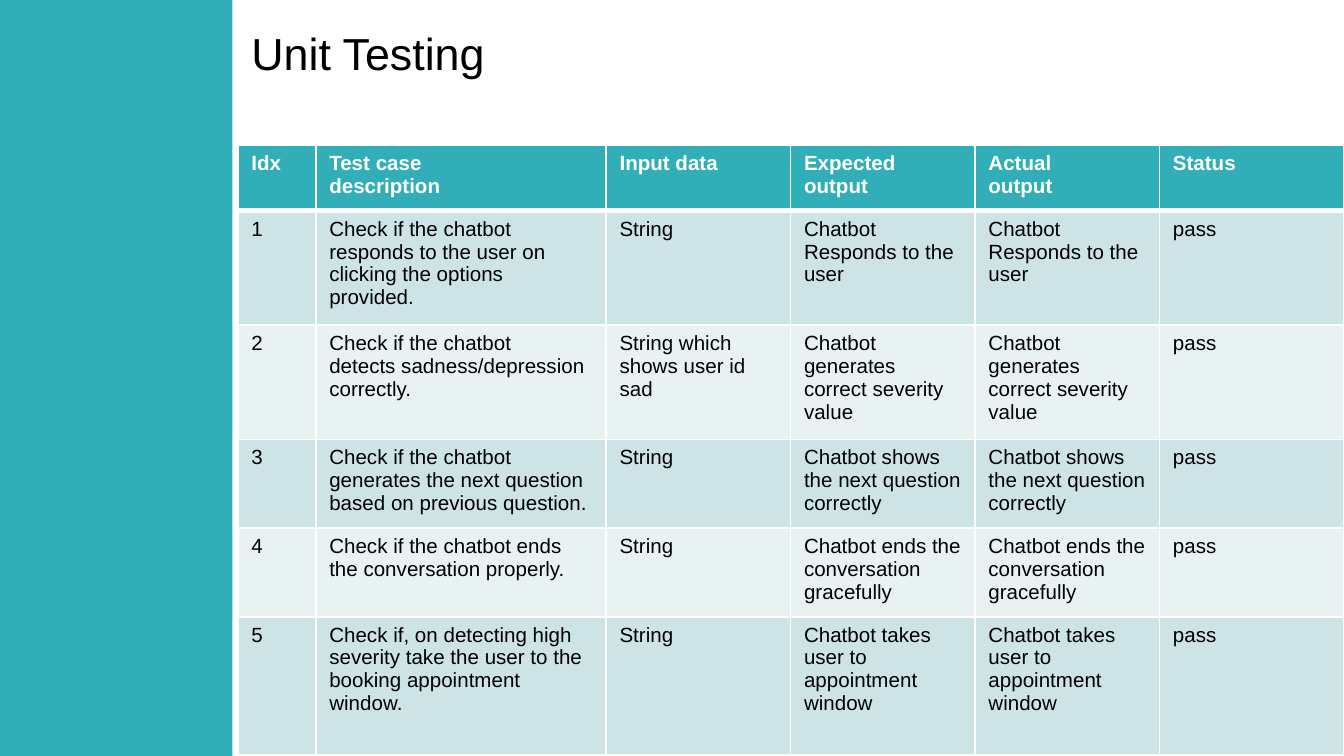
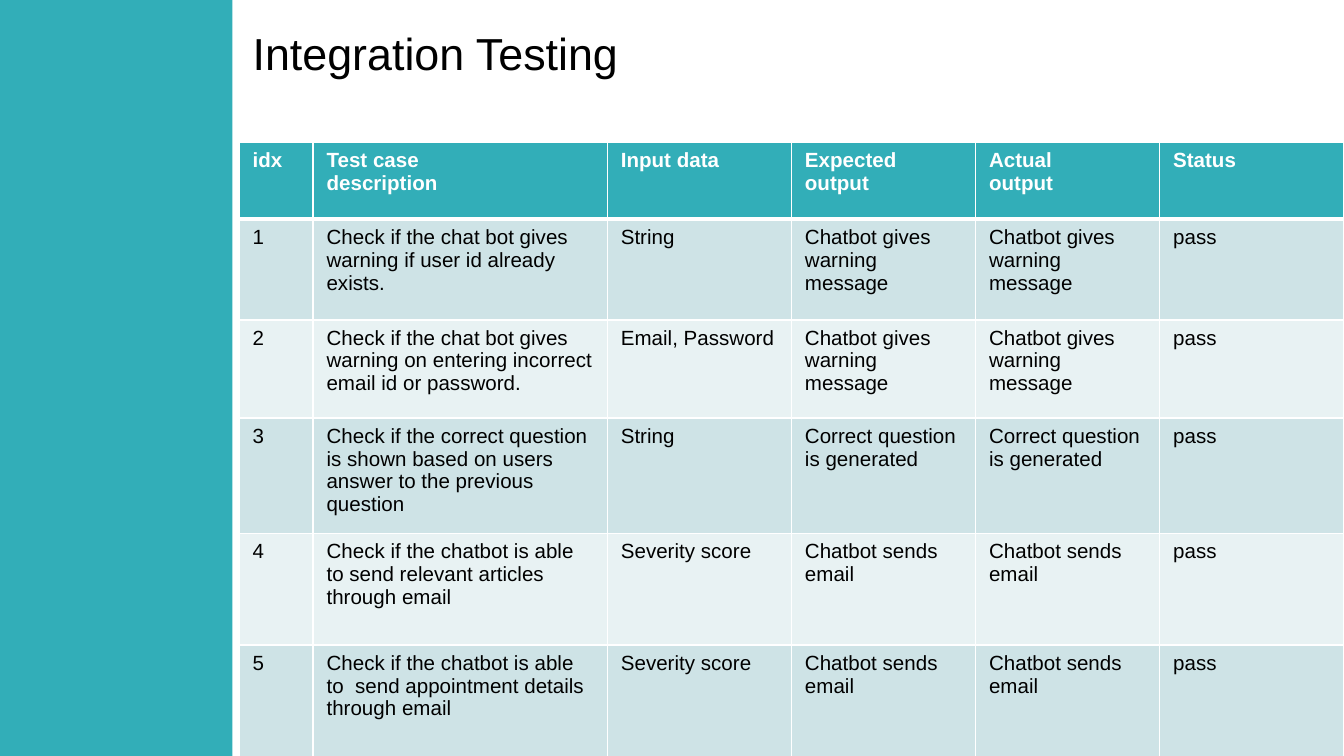
"""Build two slides of chatbot test results, each with a title and a table."""
from lxml.etree import SubElement
from pptx import Presentation
from pptx.dml.color import RGBColor
from pptx.enum.shapes import MSO_SHAPE as SHAPE
from pptx.enum.text import MSO_ANCHOR as ANCHOR, PP_ALIGN as ALIGN
from pptx.oxml.ns import qn
from pptx.util import Inches, Pt

TEAL = RGBColor(0x32, 0xAE, 0xB8)
BAND_DARK = RGBColor(0xCE, 0xE3, 0xE6)
BAND_LIGHT = RGBColor(0xE8, 0xF2, 0xF3)
WHITE = RGBColor(0xFF, 0xFF, 0xFF)
BLACK = RGBColor(0, 0, 0)
FONT = "Arial"
SLIDE_W = 10
SLIDE_H = SLIDE_W * 9 / 16
SIDEBAR_W = 1.73
HEADINGS = ["Test case\ndescription", "Input data", "Expected\noutput",
            "Actual\noutput", "Status"]

UNIT_TESTS = [
    ("Check if the chatbot\nresponds to the user on\nclicking the options\nprovided.",
     "String", "Chatbot\nResponds to the user"),
    ("Check if the chatbot\ndetects sadness/depression correctly.",
     "String which\nshows user id\nsad",
     "Chatbot\ngenerates\ncorrect severity\nvalue"),
    ("Check if the chatbot\ngenerates the next question based on previous question.",
     "String", "Chatbot shows\nthe next question correctly"),
    ("Check if the chatbot ends\nthe conversation properly.",
     "String", "Chatbot ends the conversation\ngracefully"),
    ("Check if, on detecting high\nseverity take the user to the booking appointment\nwindow.",
     "String", "Chatbot takes\nuser to\nappointment\nwindow"),
]
INTEGRATION_TESTS = [
    ("Check if the chat bot gives\nwarning if user id already\nexists.",
     "String", "Chatbot gives\nwarning\nmessage"),
    ("Check if the chat bot gives\nwarning on entering incorrect email id or password.",
     "Email, Password", "Chatbot gives\nwarning\nmessage"),
    ("Check if the correct question is shown based on users\nanswer to the previous\nquestion",
     "String", "Correct question is generated"),
    ("Check if the chatbot is able\nto send relevant articles\nthrough email",
     "Severity score", "Chatbot sends\nemail"),
    ("Check if the chatbot is able\nto  send appointment details\nthrough email",
     "Severity score", "Chatbot sends\nemail"),
]


def add_text(tf, text, size, color, bold=False):
    """Write each line of text as a left-aligned paragraph."""
    for i, line in enumerate(text.split("\n")):
        p = tf.add_paragraph() if i else tf.paragraphs[0]
        p.alignment = ALIGN.LEFT
        r = p.add_run()
        r.text = line
        r.font.name, r.font.size, r.font.bold = FONT, Pt(size), bold
        r.font.color.rgb = color


def add_sidebar(s):
    """Draw the teal band down the left edge."""
    sp = s.shapes.add_shape(SHAPE.RECTANGLE, 0, 0, Inches(SIDEBAR_W), Inches(SLIDE_H))
    sp.shadow.inherit = False
    sp.fill.solid()
    sp.fill.fore_color.rgb = TEAL
    sp.line.fill.background()


def add_title(s, text, left):
    """Place and fill the title placeholder."""
    sp = s.shapes.title
    sp.left, sp.top = Inches(left), Inches(0.14)
    sp.width, sp.height = Inches(SLIDE_W - left), Inches(0.5)
    sp.text_frame.vertical_anchor = ANCHOR.TOP
    add_text(sp.text_frame, text, 24, BLACK)


def set_borders(cell, top=1, bottom=1):
    """Give a cell white borders, with widths in points."""
    tc_pr = cell._tc.get_or_add_tcPr()
    for side, width in (("L", 1), ("R", 1), ("T", top), ("B", bottom)):
        ln = SubElement(tc_pr, qn(f"a:ln{side}"), w=str(Pt(width)))
        fill = SubElement(ln, qn("a:solidFill"))
        SubElement(fill, qn("a:srgbClr"), val=str(WHITE))


def fill_cell(cell, text, row):
    """Write and style one cell according to its row."""
    header = row == 0
    set_borders(cell, top=3 if row == 1 else 1, bottom=3 if header else 1)
    cell.fill.solid()
    cell.fill.fore_color.rgb = TEAL if header else BAND_DARK if row % 2 else BAND_LIGHT
    add_text(cell.text_frame, text, 11, WHITE if header else BLACK, header)


def add_test_table(s, left, top, index_heading, cols, heights, tests):
    """Add a table of numbered, passed tests that ends at the right edge."""
    rows = [[index_heading, *HEADINGS]]
    for number, (description, data, output) in enumerate(tests, 1):
        rows.append([str(number), description, data, output, output, "pass"])
    table_w = SLIDE_W - left
    widths = cols + [(table_w - sum(cols)) / 4] * 4
    table = s.shapes.add_table(len(rows), len(widths), Inches(left), Inches(top),
                               Inches(table_w), Inches(sum(heights))).table
    for col, width in zip(table.columns, widths):
        col.width = Inches(width)
    for i, (height, texts) in enumerate(zip(heights, rows)):
        table.rows[i].height = Inches(height)
        for j, text in enumerate(texts):
            fill_cell(table.cell(i, j), text, i)


def add_test_slide(prs, title, left, top, index_heading, cols, heights, tests):
    """Add one slide with its sidebar, table and title."""
    s = prs.slides.add_slide(prs.slide_layouts[5])
    add_sidebar(s)
    add_test_table(s, left, top, index_heading, cols, heights, tests)
    add_title(s, title, left)


def main():
    """Build and save the presentation."""
    prs = Presentation()
    prs.slide_width, prs.slide_height = Inches(SLIDE_W), Inches(SLIDE_H)
    add_test_slide(prs, "Unit Testing", 1.77, 1.08, "Idx", [0.58, 2.16],
                   [0.49, 0.85, 0.85, 0.66, 0.66, 1.03], UNIT_TESTS)
    add_test_slide(prs, "Integration Testing", 1.78, 1.06, "idx", [0.55, 2.19],
                   [0.57, 0.75, 0.73, 0.86, 0.83, 0.83], INTEGRATION_TESTS)
    prs.save("out.pptx")


if __name__ == "__main__":
    main()
